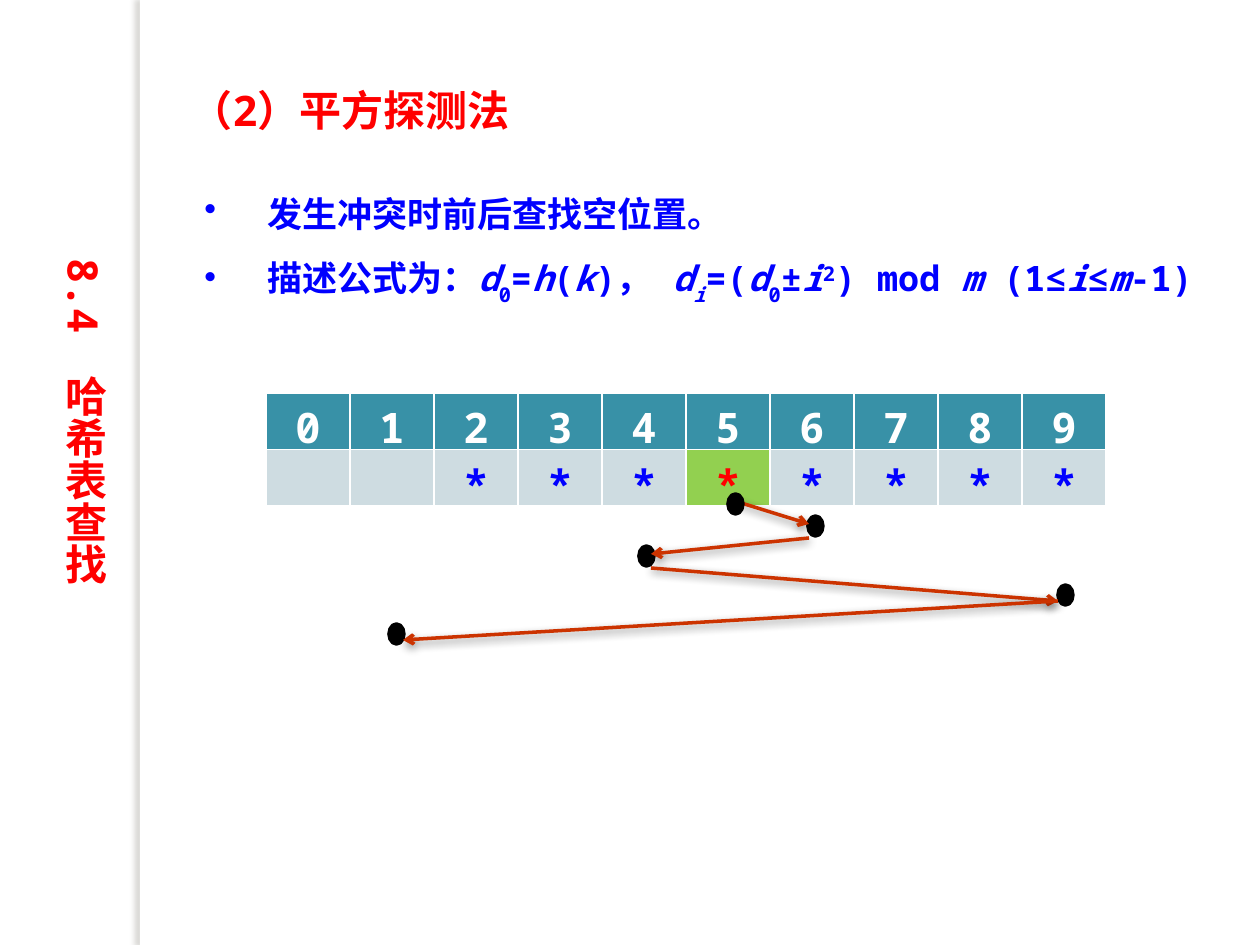
import itertools

import lxml.etree
import pptx
import pptx.dml.color
import pptx.enum.shapes
import pptx.enum.text
import pptx.oxml
import pptx.oxml.ns
import pptx.util

EMU_PER_PX = 914400 / 126
FONT = "Noto Sans Mono"
RED, BLUE, WHITE, BLACK = "FF0000", "0000FF", "FFFFFF", "000000"
TEAL, PALE, GREEN, ARROW = "3891A7", "CEDCE1", "92D050", "CC3300"
ALIGN = pptx.enum.text.PP_ALIGN
ANCHOR = pptx.enum.text.MSO_ANCHOR
SHAPE = pptx.enum.shapes.MSO_SHAPE
BASELINES = {"_": "-30000", "^": "30000"}
FORMULA = [
    ("描述公式为：", ""), ("d", "i"), ("0", "_"), ("=", ""), ("h", "i"),
    ("(", ""), ("k", "i"), (")， ", ""), ("d", "i"), ("i", "i_"),
    ("=(", ""), ("d", "i"), ("0", "_"), ("±", ""), ("i", "i"),
    ("2", "^"), (") mod ", ""), ("m", "i"), (" (1≤", ""), ("i", "i"),
    ("≤", ""), ("m", "i"), ("-1)", ""),
]


def px(length):
    """Turn px into EMU."""
    return pptx.util.Emu(round(length * EMU_PER_PX))


def box_emu(box):
    """Turn a left, top, width, height box into EMU."""
    return [px(length) for length in box]


def color(value):
    """Return the colour of a hex string."""
    return pptx.dml.color.RGBColor.from_string(value)


def add_xml(parent, tag, **attributes):
    """Append a DrawingML element and return it."""
    return lxml.etree.SubElement(parent, pptx.oxml.ns.qn(tag), attributes)


def add_shadow(shape, value, opacity, blur, distance, degrees):
    """Give a shape an outer shadow, with lengths in points."""
    effects = add_xml(shape._element.spPr, "a:effectLst")
    shadow = add_xml(
        effects, "a:outerShdw", blurRad=str(blur * 12700), dist=str(distance * 12700),
        dir=str(degrees * 60000), algn="tl", rotWithShape="0")
    tint = add_xml(shadow, "a:srgbClr", val=value)
    add_xml(tint, "a:alpha", val=str(opacity * 1000))


def style_run(run, size, value):
    """Set the bold slide font on a run."""
    run.font.name = FONT
    run.font.size = pptx.util.Pt(size)
    run.font.bold = True
    run.font.color.rgb = color(value)
    add_xml(run._r.get_or_add_rPr(), "a:ea", typeface=FONT)


def style_paragraph(paragraph, size, value, alignment):
    """Align a paragraph and format all its runs."""
    paragraph.alignment = alignment
    for run in paragraph.runs:
        style_run(run, size, value)


def add_text_box(slide, box):
    """Add a wrapping text box that grows, and return its frame."""
    frame = slide.shapes.add_textbox(*box_emu(box)).text_frame
    frame.word_wrap = True
    frame.auto_size = pptx.enum.text.MSO_AUTO_SIZE.SHAPE_TO_FIT_TEXT
    return frame


def build_margin_edge(slide, box):
    """Draw the white strip whose shadow parts the sidebar from the content."""
    edge = slide.shapes.add_shape(SHAPE.RECTANGLE, *box_emu(box))
    edge.fill.solid()
    edge.fill.fore_color.rgb = color(WHITE)
    edge.line.fill.background()
    add_shadow(edge, "736F63", 25, 3, 3, 180)


def build_heading(slide, box):
    """Place and format the title."""
    heading = slide.shapes.title
    heading.left, heading.top, heading.width, heading.height = box_emu(box)
    frame = heading.text_frame
    frame.text = "（2）平方探测法"
    frame.vertical_anchor = ANCHOR.TOP
    frame.auto_size = pptx.enum.text.MSO_AUTO_SIZE.SHAPE_TO_FIT_TEXT
    style_paragraph(frame.paragraphs[0], 24, RED, ALIGN.LEFT)


def build_rules(slide, box):
    """Write the two bullets with the probing formula."""
    frame = add_text_box(slide, box)
    frame.text = "发生冲突时前后查找空位置。"
    formula = frame.add_paragraph()
    for text, marks in FORMULA:
        run = formula.add_run()
        run.text = text
        run.font.italic = "i" in marks
        for mark in marks.replace("i", ""):
            run._r.get_or_add_rPr().set("baseline", BASELINES[mark])
    for rule in frame.paragraphs:
        style_paragraph(rule, 20, BLUE, ALIGN.JUSTIFY)
        rule.line_spacing = 1.2
        rule.space_before = pptx.util.Pt(7)
        properties = rule._p.get_or_add_pPr()
        properties.set("marL", str(px(63)))
        properties.set("indent", str(px(-63)))
        add_xml(properties, "a:buChar", char="•")


def fill_cell(cell, text, value, background):
    """Write one centred cell of the hash table."""
    cell.fill.solid()
    cell.fill.fore_color.rgb = color(background)
    cell.margin_top, cell.margin_bottom = px(6), px(0)
    if text:
        cell.text = text
        style_paragraph(cell.text_frame.paragraphs[0], 24, value, ALIGN.CENTER)


def build_hash_table(slide, box, slots=10, free=(0, 1), collision=5):
    """Show the slot numbers above their occupied marks."""
    hash_table = slide.shapes.add_table(2, slots, *box_emu(box)).table
    hash_table.horz_banding = False
    for slot in range(slots):
        hit = slot == collision
        fill_cell(hash_table.cell(0, slot), str(slot), WHITE, TEAL)
        fill_cell(hash_table.cell(1, slot), "" if slot in free else "*",
                  RED if hit else BLUE, GREEN if hit else PALE)


def add_probe(slide, left, top):
    """Add the dot of one probed slot."""
    probe = slide.shapes.add_shape(SHAPE.OVAL, *box_emu((left, top, 15, 20)))
    probe.shadow.inherit = False
    probe.fill.solid()
    probe.fill.fore_color.rgb = color(BLACK)
    probe.line.color.rgb = color(BLACK)
    probe.line.width = pptx.util.Pt(2)


def add_jump(slide, start, end):
    """Add the arrow from one probe to the next."""
    jump = slide.shapes.add_connector(
        pptx.enum.shapes.MSO_CONNECTOR.STRAIGHT, *box_emu(start + end))
    jump.line.color.rgb = color(ARROW)
    jump.line.width = pptx.util.Pt(2)
    add_xml(jump.line._get_or_add_ln(), "a:tailEnd", type="arrow")
    add_shadow(jump, BLACK, 43, 5, 2, 90)


def build_probe_path(slide, box):
    """Draw the probing order as dots joined by arrows."""
    left, top = box[:2]
    probes = [(419, 22), (250, 52), (669, 91), (0, 130), (339, 0)]
    jumps = [((349, 8), (420, 30)), ((420, 44), (262, 60)),
             ((262, 74), (669, 107)), ((669, 107), (14, 146))]
    for x, y in probes[:-1]:
        add_probe(slide, left + x, top + y)
    for jump in jumps:
        add_jump(slide, *((left + x, top + y) for x, y in jump))
    start_x, start_y = probes[-1]
    add_probe(slide, left + start_x, top + start_y)


def build_sidebar(slide, box):
    """Write the section name downwards in the left margin."""
    frame = add_text_box(slide, box)
    frame._txBody.bodyPr.set("vert", "eaVert")
    frame.text = "8.4　哈希表查找"
    section = frame.paragraphs[0]
    style_paragraph(section, 24, RED, ALIGN.CENTER)
    section.space_before = pptx.util.Pt(12)


def main():
    """Build the slide and save it."""
    deck = pptx.Presentation()
    deck.slide_width, deck.slide_height = px(1260), px(945)
    slide = deck.slides.add_slide(deck.slide_layouts.get_by_name("Title Only"))
    build_margin_edge(slide, (140, 0, 10, 945))
    build_rules(slide, (192, 178, 1019, 136))
    build_heading(slide, (178, 78, 423, 63))
    build_hash_table(slide, (266, 393, 840, 102))
    build_probe_path(slide, (389, 494, 684, 150))
    build_sidebar(slide, (39, 246, 77, 384))
    deck.save("out.pptx")


if __name__ == "__main__":
    main()
